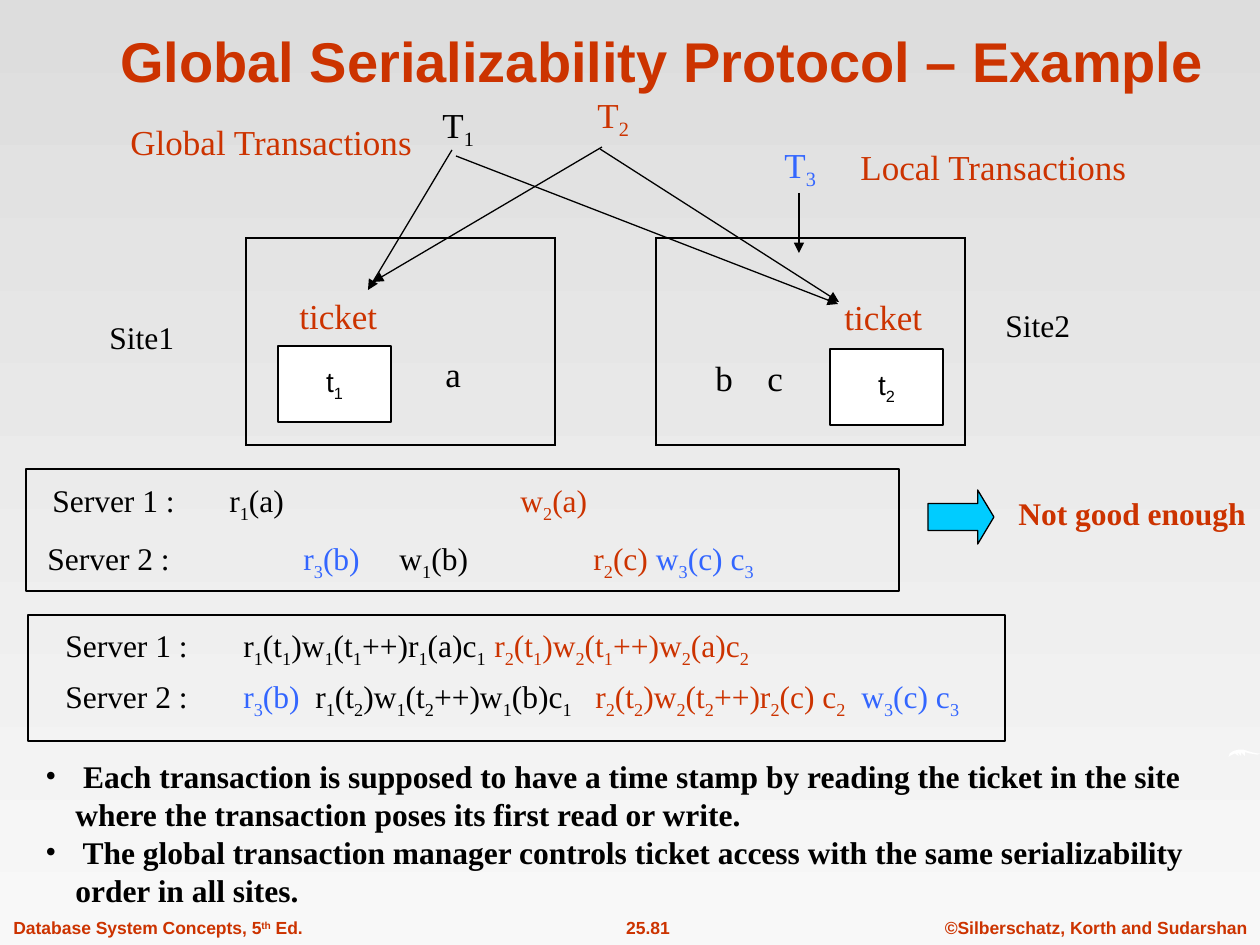
from lxml import etree
from pptx import Presentation
from pptx import util as u
from pptx.dml.color import RGBColor
from pptx.enum import shapes, text
from pptx.oxml import ns

PX = u.Inches(1) / 126
BLACK = RGBColor(0x00, 0x00, 0x00)
WHITE = RGBColor(0xFF, 0xFF, 0xFF)
RED = RGBColor(0xCC, 0x33, 0x00)
BLUE = RGBColor(0x33, 0x66, 0xFF)
CYAN = RGBColor(0x00, 0xCC, 0xFF)
GREY_TOP = RGBColor(0xDD, 0xDD, 0xDD)
GREY_BOTTOM = RGBColor(0xF8, 0xF8, 0xF8)
SERIF, SANS = "Times New Roman", "Arial"
LEFT, CENTER = text.PP_ALIGN.LEFT, text.PP_ALIGN.CENTER

# Hundredths of an inch
SWOOSH = [(975, 601), (976, 598), (979, 596), (983, 595), (987, 595), (993, 597),
          (998, 598), (1000, 598), (998, 599), (992, 598), (988, 597), (988, 600),
          (985, 597), (985, 600), (982, 597), (983, 600), (980, 598), (976, 600)]

# Left, top, width, tab stops, coloured pieces
SCHEDULES = [
    (40, 475, 848, [177, 468],
     [("Server 1 :\tr_1_(a)\t", BLACK), ("w_2_(a)", RED)]),
    (35, 533, 848, [256, 352, 546],
     [("Server 2 :\t", BLACK), ("r_3_(b)\t", BLUE), ("w_1_(b)\t", BLACK),
      ("r_2_(c) ", RED), ("w_3_(c) c_3_", BLUE)]),
    (53, 620, 916, [178, 429],
     [("Server 1 :\tr_1_(t_1_)w_1_(t_1_++)r_1_(a)c_1_\t", BLACK),
      ("r_2_(t_1_)w_2_(t_1_++)w_2_(a)c_2_", RED)]),
    (53, 671, 1019, [178, 250, 530, 796],
     [("Server 2 :\t", BLACK), ("r_3_(b)\t", BLUE),
      ("r_1_(t_2_)w_1_(t_2_++)w_1_(b)c_1_\t", BLACK),
      ("r_2_(t_2_)w_2_(t_2_++)r_2_(c) c_2_\t", RED), ("w_3_(c) c_3_", BLUE)]),
]
BULLETS = [
    " Each transaction is supposed to have a time stamp by reading the ticket"
    " in the site where the transaction poses its first read or write.",
    " The global transaction manager controls ticket access with the same"
    " serializability order in all sites.",
]
ARROWS = [(452, 150, 368, 290), (456, 156, 838, 304), (602, 147, 373, 282),
          (600, 149, 839, 302), (799, 193, 799, 253)]


def px(*lengths):
    return [u.Emu(round(length * PX)) for length in lengths]


def add_child(parent, tag, **attributes):
    child = etree.SubElement(parent, ns.qn(tag))
    for name, value in attributes.items():
        child.set(name, str(value))
    return child


def write(para, content, size=20, color=BLACK, font=SERIF, bold=False,
          align=LEFT, shift=-25):
    """Write marked text; parts between underscores are raised by shift percent."""
    para.alignment = align
    for index, part in enumerate(content.split("_")):
        if not part:
            continue
        span = para.add_run()
        span.text = part
        span.font.size = u.Pt(size)
        span.font.name = font
        span.font.bold = bold
        span.font.color.rgb = color
        if index % 2:
            span._r.get_or_add_rPr().set("baseline", str(shift * 1000))


def add_box(page, left, top, width, height, wrap=False):
    box = page.shapes.add_textbox(*px(left, top, width, height))
    box.text_frame.word_wrap = wrap
    box.text_frame.auto_size = text.MSO_AUTO_SIZE.SHAPE_TO_FIT_TEXT
    return box.text_frame


def add_label(page, content, left, top, width, height=55, **style):
    write(add_box(page, left, top, width, height).paragraphs[0], content, **style)


def add_schedule(page, left, top, width, stops, pieces):
    para = add_box(page, left, top, width, 55, wrap=True).paragraphs[0]
    tabs = add_child(para._p.get_or_add_pPr(), "a:tabLst")
    for stop in px(*stops):
        add_child(tabs, "a:tab", pos=stop, algn="l")
    for content, color in pieces:
        write(para, content, size=18, color=color)


def add_bullets(page, items, left, top, width, height):
    frame = add_box(page, left, top, width, height, wrap=True)
    indent, = px(30)
    for index, item in enumerate(items):
        para = frame.add_paragraph() if index else frame.paragraphs[0]
        props = para._p.get_or_add_pPr()
        props.set("marL", str(indent))
        props.set("indent", str(-indent))
        add_child(add_child(props, "a:buClr"), "a:srgbClr", val=BLACK)
        add_child(props, "a:buFont", typeface=SERIF)
        add_child(props, "a:buChar", char="•")
        write(para, item, size=18, bold=True)


def add_preset(page, kind, left, top, width, height, fill=None):
    shape = page.shapes.add_shape(kind, *px(left, top, width, height))
    shape.shadow.inherit = False
    if fill is None:
        shape.fill.background()
    else:
        shape.fill.solid()
        shape.fill.fore_color.rgb = fill
    shape.line.color.rgb = BLACK
    shape.line.width = u.Pt(0.75)
    return shape


def add_ticket(page, content, left, top):
    shape = add_preset(page, shapes.MSO_SHAPE.RECTANGLE, left, top, 113, 76, WHITE)
    shape.text_frame.word_wrap = False
    shape.text_frame.vertical_anchor = text.MSO_ANCHOR.MIDDLE
    write(shape.text_frame.paragraphs[0], content, size=16, font=SANS, align=CENTER)


def add_site(page, left, top):
    """Add a site as a bordered table of one empty cell."""
    table = page.shapes.add_table(1, 1, *px(left, top, 309, 207)).table
    table.first_row = table.horz_banding = False
    cell = table.cell(0, 0)
    props = cell._tc.get_or_add_tcPr()
    for side in "LRTB":
        border = add_child(props, f"a:ln{side}", w=u.Pt(1.08))
        add_child(add_child(border, "a:solidFill"), "a:srgbClr", val=BLACK)
    cell.fill.background()


def add_arrow(page, *ends):
    arrow = page.shapes.add_connector(shapes.MSO_CONNECTOR.STRAIGHT, *px(*ends))
    arrow.line.color.rgb = BLACK
    arrow.line.width = u.Pt(0.75)
    add_child(arrow.line._get_or_add_ln(), "a:tailEnd", type="triangle")
    add_child(arrow._element.spPr, "a:effectLst")


def add_swoosh(page):
    builder = page.shapes.build_freeform(*SWOOSH[0], scale=u.Inches(0.01))
    builder.add_line_segments(SWOOSH[1:], close=True)
    shape = builder.convert_to_shape()
    shape.shadow.inherit = False
    shape.fill.solid()
    shape.fill.fore_color.rgb = WHITE
    shape.line.fill.background()


def set_background(page):
    fill = page.background.fill
    fill.gradient()
    fill.gradient_angle = 270
    for stop, color in zip(fill.gradient_stops, (GREY_TOP, GREY_BOTTOM)):
        stop.color.rgb = color


def set_title(page, content):
    title = page.shapes.title
    title.left, title.top, title.width, title.height = px(106, 16, 1113, 84)
    title.text_frame.vertical_anchor = text.MSO_ANCHOR.BOTTOM
    title.text_frame.auto_size = text.MSO_AUTO_SIZE.NONE
    write(title.text_frame.paragraphs[0], content, size=32, color=RED, font=SANS,
          bold=True, align=CENTER)


def main():
    deck = Presentation()
    deck.slide_width, deck.slide_height = u.Inches(10), u.Inches(7.5)
    page = deck.slides.add_slide(deck.slide_layouts[5])
    set_background(page)
    set_title(page, "Global Serializability Protocol – Example")

    footer = dict(top=911, height=34, size=10, color=RED, font=SANS, bold=True)
    add_label(page, "©Silberschatz, Korth and Sudarshan", 932, width=328,
              align=CENTER, **footer)
    add_label(page, "25.81", 581, width=134, align=CENTER, **footer)
    add_label(page, "Database System Concepts, 5_th_ Ed.", 1, width=320, shift=30,
              **footer)
    add_swoosh(page)

    for left in (246, 656):
        add_site(page, left, 238)
    add_label(page, "Site1", 97, 312, 92, 50, size=18)
    add_label(page, "Site2", 993, 300, 92, 50, size=18)
    add_label(page, "T_1_", 430, 97, 58, 60)
    add_label(page, "T_2_", 585, 87, 58, 60, color=RED)
    add_label(page, "T_3_", 772, 137, 58, 60, color=BLUE)
    add_ticket(page, "t_1_", 278, 346)
    add_ticket(page, "t_2_", 830, 349)
    add_label(page, "a", 433, 346, 42)
    add_label(page, "b", 703, 350, 44)
    add_label(page, "c", 755, 350, 42)
    for left, top in ((287, 288), (832, 289)):
        add_label(page, "ticket", left, top, 105, color=RED)
    add_label(page, "Global Transactions", 118, 114, 310, color=RED)
    add_label(page, "Local Transactions", 848, 139, 294, color=RED)

    for schedule in SCHEDULES:
        add_schedule(page, *schedule)
    pointer = add_preset(page, shapes.MSO_SHAPE.RIGHT_ARROW, 928, 490, 66, 54, CYAN)
    pointer.adjustments[1] = 0.3
    add_label(page, "Not good enough", 1006, 488, 254, 50, size=18, color=RED, bold=True)
    add_bullets(page, BULLETS, 33, 751, 1174, 164)

    for ends in ARROWS:
        add_arrow(page, *ends)
    for frame in ((26, 469, 873, 122), (28, 615, 977, 126)):
        add_preset(page, shapes.MSO_SHAPE.RECTANGLE, *frame)
    deck.save("out.pptx")


if __name__ == "__main__":
    main()
